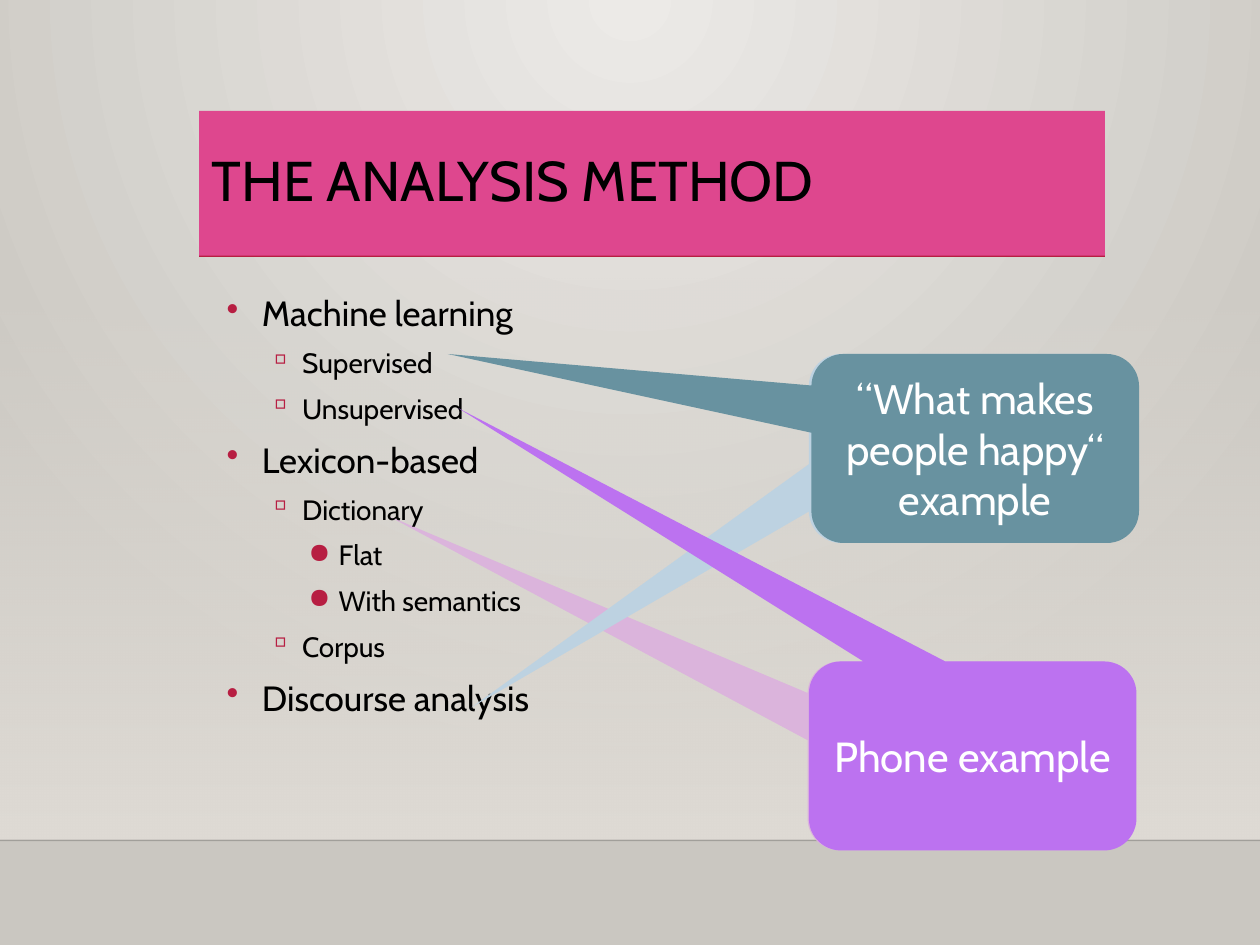
import pptx
import pptx.dml.color
import pptx.enum.shapes
import pptx.enum.text
import pptx.oxml
import pptx.oxml.ns
import pptx.util
from pptx.util import Inches

COLORS = {
    "glow": "ECEAE7", "floor": "CAC7C1", "wall": "DFDBD5",
    "edge": "000001", "accent": "B71E42", "title": "DE478E",
    "text": "000000", "white": "FFFFFF",
    "lilac": "DBB4DC", "sky": "BDD2E1", "teal": "6892A0", "violet": "BC72F0",
}
FONT = "Cabin"
qn = pptx.oxml.ns.qn
NS = pptx.oxml.ns.nsdecls("a")
ANCHOR = pptx.enum.text.MSO_ANCHOR
ALIGN = pptx.enum.text.PP_ALIGN


def rgb(name):
    return pptx.dml.color.RGBColor.from_string(COLORS[name])


def style_runs(paragraph, size, color):
    for span in paragraph.runs:
        span.font.name = FONT
        span.font.size = pptx.util.Pt(size)
        span.font.color.rgb = rgb(color)


deck = pptx.Presentation()
deck.slide_width, deck.slide_height = Inches(10), Inches(7.5)
page = deck.slides.add_slide(deck.slide_layouts[5])

# Background: a glow spreading from the top centre
backdrop = page.background.fill
backdrop.gradient()
for stop, color in zip(backdrop.gradient_stops, ("glow", "floor")):
    stop.color.rgb = rgb(color)
linear = next(page.background._cSld.iter(qn("a:lin")))
linear.getparent().replace(linear, pptx.oxml.parse_xml(
    f'<a:path {NS} path="circle">'
    '<a:fillToRect l="43000" t="0" r="43000" b="100000"/></a:path>'))

# Wall that fades in towards the floor
wall = page.shapes.add_shape(pptx.enum.shapes.MSO_SHAPE.RECTANGLE,
                             0, Inches(2.2), Inches(10), Inches(4.46))
wall.shadow.inherit = False
wall.line.fill.background()
wall.fill.gradient()
wall.fill.gradient_angle = 270
for stop in wall.fill.gradient_stops:
    stop.color.rgb = rgb("wall")
first_color = next(wall.element.iter(qn("a:srgbClr")))
first_color.append(pptx.oxml.parse_xml(f'<a:alpha {NS} val="0"/>'))

# Floor edge and title rule: left, right, height, width, colour, opacity
for left, right, top, width, color, opacity in (
        (0, 10, 6.67, 1, "edge", 20), (1.58, 8.77, 2.02, 2.5, "accent", 100)):
    rule = page.shapes.add_connector(
        pptx.enum.shapes.MSO_CONNECTOR.STRAIGHT,
        Inches(left), Inches(top), Inches(right), Inches(top))
    rule.line.width = pptx.util.Pt(width)
    rule.line.color.rgb = rgb(color)
    line_color = next(rule.element.iter(qn("a:srgbClr")))
    line_color.append(pptx.oxml.parse_xml(
        f'<a:alpha {NS} val="{opacity * 1000}"/>'))
    rule.element.spPr.append(pptx.oxml.parse_xml(f"<a:effectLst {NS}/>"))

# Callouts: left, top, pointer x and y, fill, text
HAPPY, PHONE = "“What makes people happy“ example", "Phone example"
callouts = []
for left, top, tip_x, tip_y, color, words in (
        (6.41, 5.25, -1.78, -1.27, "lilac", PHONE),
        (6.42, 2.81, -1.53, 1.37, "sky", HAPPY),
        (6.44, 2.81, -1.61, -0.5, "teal", HAPPY),
        (6.42, 5.25, -1.57, -1.84, "violet", PHONE)):
    callout = page.shapes.add_shape(
        pptx.enum.shapes.MSO_SHAPE.ROUNDED_RECTANGULAR_CALLOUT,
        Inches(left), Inches(top), Inches(2.6), Inches(1.5))
    callout.adjustments[0] = tip_x
    callout.adjustments[1] = tip_y
    callout.adjustments[2] = 0.17
    callout.shadow.inherit = False
    callout.fill.solid()
    callout.fill.fore_color.rgb = rgb(color)
    callout.line.fill.background()
    frame = callout.text_frame
    frame.text = words
    frame.word_wrap = True
    frame.vertical_anchor = ANCHOR.MIDDLE
    frame.paragraphs[0].alignment = ALIGN.CENTER
    style_runs(frame.paragraphs[0], 24, "white")
    callouts.append(callout)

title = page.shapes.title
title.left, title.top = Inches(1.58), Inches(0.88)
title.width, title.height = Inches(7.19), Inches(1.15)
title.fill.solid()
title.fill.fore_color.rgb = rgb("title")
title.text_frame.text = "THE ANALYSIS METHOD"
title.text_frame.auto_size = pptx.enum.text.MSO_AUTO_SIZE.NONE
title.text_frame.vertical_anchor = ANCHOR.MIDDLE
heading = title.text_frame.paragraphs[0]
heading.alignment = ALIGN.LEFT
heading.line_spacing = 0.9
style_runs(heading, 32, "text")

# Outline: each level has a left margin, hanging indent, bullet and text size
LEVELS = ((0.4, 0.28, "•", 20), (0.72, 0.27, "▫", 16), (1.01, 0.24, "●", 16))
outline = (
    (0, "Machine learning"), (1, "Supervised"), (1, "Unsupervised"),
    (0, "Lexicon-based"), (1, "Dictionary"), (2, "Flat"),
    (2, "With semantics"), (1, "Corpus"), (0, "Discourse analysis"),
)
box = page.shapes.add_textbox(Inches(1.58), Inches(2.2),
                              Inches(7.19), Inches(3.77))
box.text_frame.word_wrap = True
box.text_frame.text = "\n".join(words for level, words in outline)
for index, para in enumerate(box.text_frame.paragraphs):
    level = outline[index][0]
    margin, hanging, bullet, size = LEVELS[level]
    para.level = level
    para.line_spacing = 1.2
    para.space_before = pptx.util.Pt(3 if index else 0)
    style_runs(para, size, "text")
    properties = para._p.get_or_add_pPr()
    properties.set("marL", str(Inches(margin)))
    properties.set("indent", str(-Inches(hanging)))
    properties.append(pptx.oxml.parse_xml(
        f'<a:buClr {NS}><a:srgbClr val="{COLORS["accent"]}"/></a:buClr>'))
    properties.append(pptx.oxml.parse_xml(
        f'<a:buChar {NS} char="{bullet}"/>'))

# The lilac callout lies behind the text, the other three in front of it
for shape in (title, box, *callouts[1:]):
    page.shapes.element.append(shape.element)

deck.save("out.pptx")
